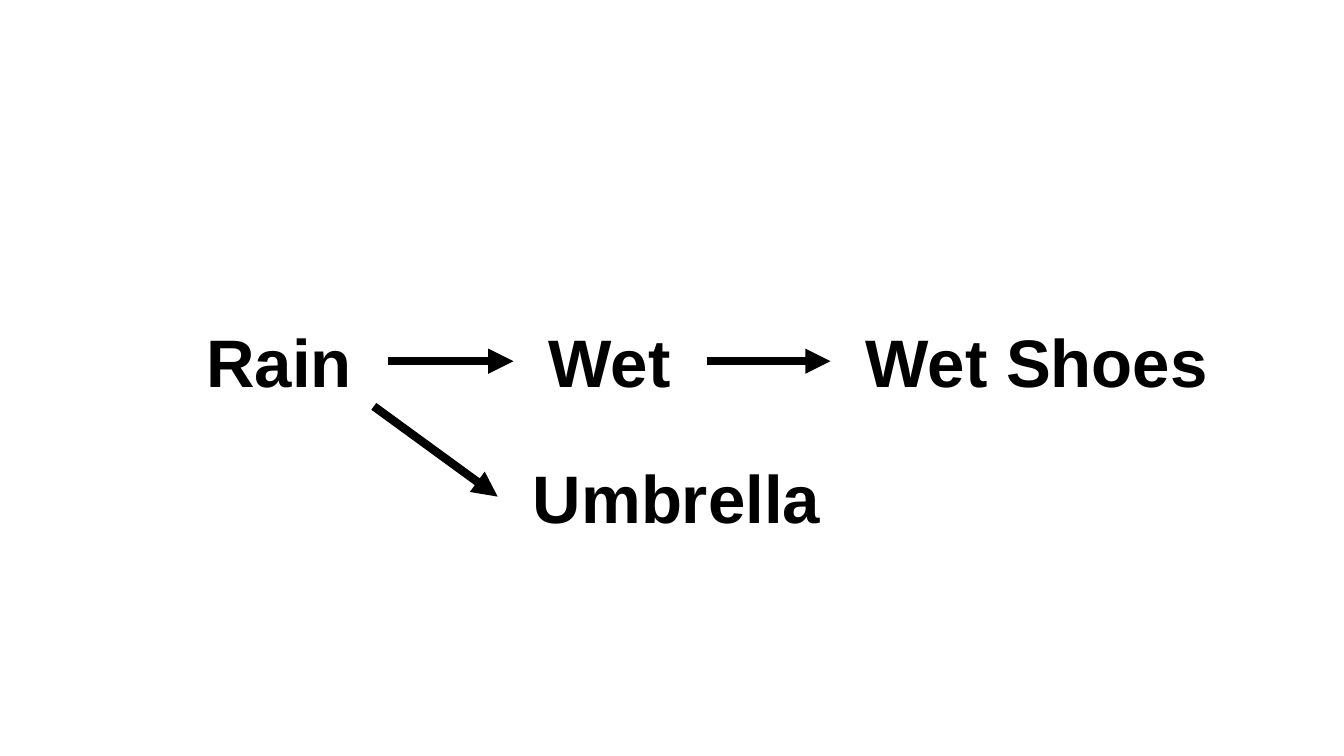
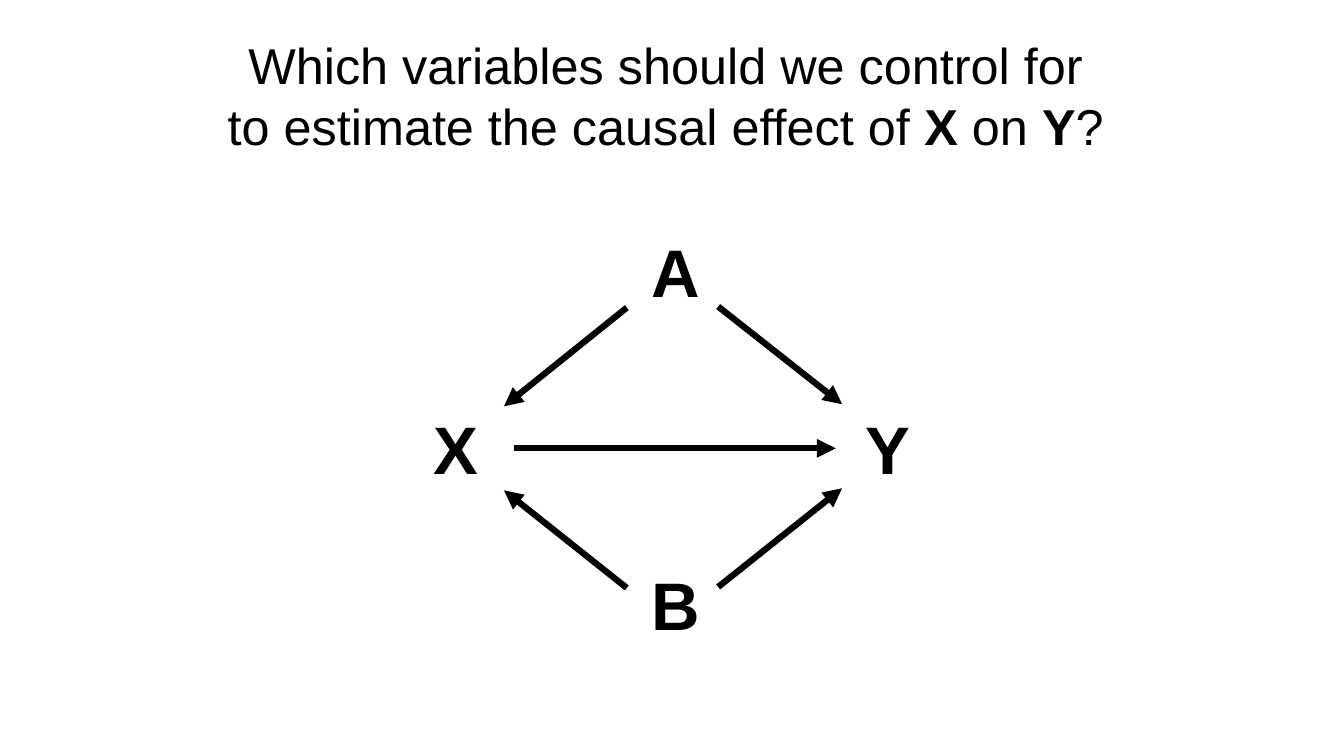
from dataclasses import dataclass

from lxml.etree import SubElement
from pptx import Presentation
from pptx.dml.color import RGBColor
from pptx.enum.shapes import MSO_CONNECTOR
from pptx.enum.text import MSO_ANCHOR, MSO_AUTO_SIZE, PP_ALIGN
from pptx.oxml.ns import qn
from pptx.slide import Slide
from pptx.util import Emu, Pt

EMU_PER_PX = 9525
PAGE_WIDTH, PAGE_HEIGHT = 1280, 720
FONT = "Arial"
BLACK = "000000"
WHITE = "FFFFFF"
NODE_HEIGHT = 87
GAP = 24
TITLE_ONLY, BLANK = 5, 6


@dataclass(frozen=True)
class Node:
    label: str
    left: int
    top: int
    width: int

    @property
    def middle(self) -> int:
        return self.top + NODE_HEIGHT // 2

    @property
    def before(self) -> int:
        return self.left - GAP

    @property
    def after(self) -> int:
        return self.left + self.width + GAP


@dataclass(frozen=True)
class Arrow:
    start_x: int
    start_y: int
    end_x: int
    end_y: int


def px(length: int) -> Emu:
    return Emu(length * EMU_PER_PX)


def color(hex_value: str) -> RGBColor:
    return RGBColor.from_string(hex_value)


def style_font(font, size: int, bold: bool) -> None:
    font.name = FONT
    font.size = Pt(size)
    font.bold = bold
    font.color.rgb = color(BLACK)


def add_page(deck, layout: int) -> Slide:
    page = deck.slides.add_slide(deck.slide_layouts[layout])
    page.background.fill.solid()
    page.background.fill.fore_color.rgb = color(WHITE)
    return page


def add_node(page: Slide, node: Node) -> None:
    box = page.shapes.add_textbox(
        px(node.left), px(node.top), px(node.width), px(NODE_HEIGHT))
    frame = box.text_frame
    frame.word_wrap = False
    frame.auto_size = MSO_AUTO_SIZE.SHAPE_TO_FIT_TEXT
    para = frame.paragraphs[0]
    para.text = node.label
    style_font(para.font, 48, True)


def add_arrow(page: Slide, arrow: Arrow, weight: float) -> None:
    connector = page.shapes.add_connector(
        MSO_CONNECTOR.STRAIGHT, px(arrow.start_x), px(arrow.start_y),
        px(arrow.end_x), px(arrow.end_y))
    connector.line.color.rgb = color(BLACK)
    connector.line.width = Pt(weight)
    SubElement(connector.line._get_or_add_ln(), qn("a:tailEnd"), type="triangle")
    SubElement(connector._element.spPr, qn("a:effectLst"))


def add_graph(page: Slide, nodes: list[Node], arrows: list[Arrow],
              weight: float) -> None:
    for node in nodes:
        add_node(page, node)
    for arrow in arrows:
        add_arrow(page, arrow, weight)


def set_title(page: Slide, spans: list[tuple[str, bool]]) -> None:
    """Fill the title placeholder with (text, bold) spans."""
    title = page.shapes.title
    title.left, title.top, title.width, title.height = map(px, (207, 28, 854, 126))
    frame = title.text_frame
    frame.word_wrap = True
    frame.auto_size = MSO_AUTO_SIZE.SHAPE_TO_FIT_TEXT
    frame.vertical_anchor = MSO_ANCHOR.TOP
    para = frame.paragraphs[0]
    para.alignment = PP_ALIGN.CENTER
    style_font(para.font, 36, False)
    for text, bold in spans:
        span = para.add_run()
        span.text = text
        style_font(span.font, 36, bold)


def add_rain_page(deck) -> None:
    rain = Node("Rain", 187, 300, 159)
    wet = Node("Wet", 513, 300, 136)
    shoes = Node("Wet Shoes", 815, 300, 348)
    umbrella = Node("Umbrella", 498, 430, 296)
    arrows = [Arrow(cause.after, cause.middle + 1, effect.before, effect.middle + 1)
              for cause, effect in ((rain, wet), (wet, shoes))]
    arrows.append(Arrow(356, rain.top + NODE_HEIGHT,
                        umbrella.before, umbrella.middle))
    add_graph(add_page(deck, BLANK), [rain, wet, shoes, umbrella], arrows, 6)


def add_control_page(deck) -> None:
    page = add_page(deck, TITLE_ONLY)
    set_title(page, [
        ("Which variables should we control for to estimate the causal effect of ",
         False),
        ("X", True), (" on ", False), ("Y", True), ("?", False)])
    nodes = [Node("A", 611, 215, 66), Node("X", 403, 383, 62),
             Node("Y", 815, 383, 62), Node("B", 611, 532, 66)]
    arrows = [Arrow(490, 427, 796, 427)]
    for start_y, end_y in ((293, 387), (560, 467)):
        arrows.append(Arrow(597, start_y, 480, end_y))
        arrows.append(Arrow(684, start_y - 1, 802, end_y - 2))
    add_graph(page, nodes, arrows, 4.5)


def main() -> None:
    deck = Presentation()
    deck.slide_width, deck.slide_height = px(PAGE_WIDTH), px(PAGE_HEIGHT)
    add_rain_page(deck)
    add_control_page(deck)
    deck.save("out.pptx")


if __name__ == "__main__":
    main()
